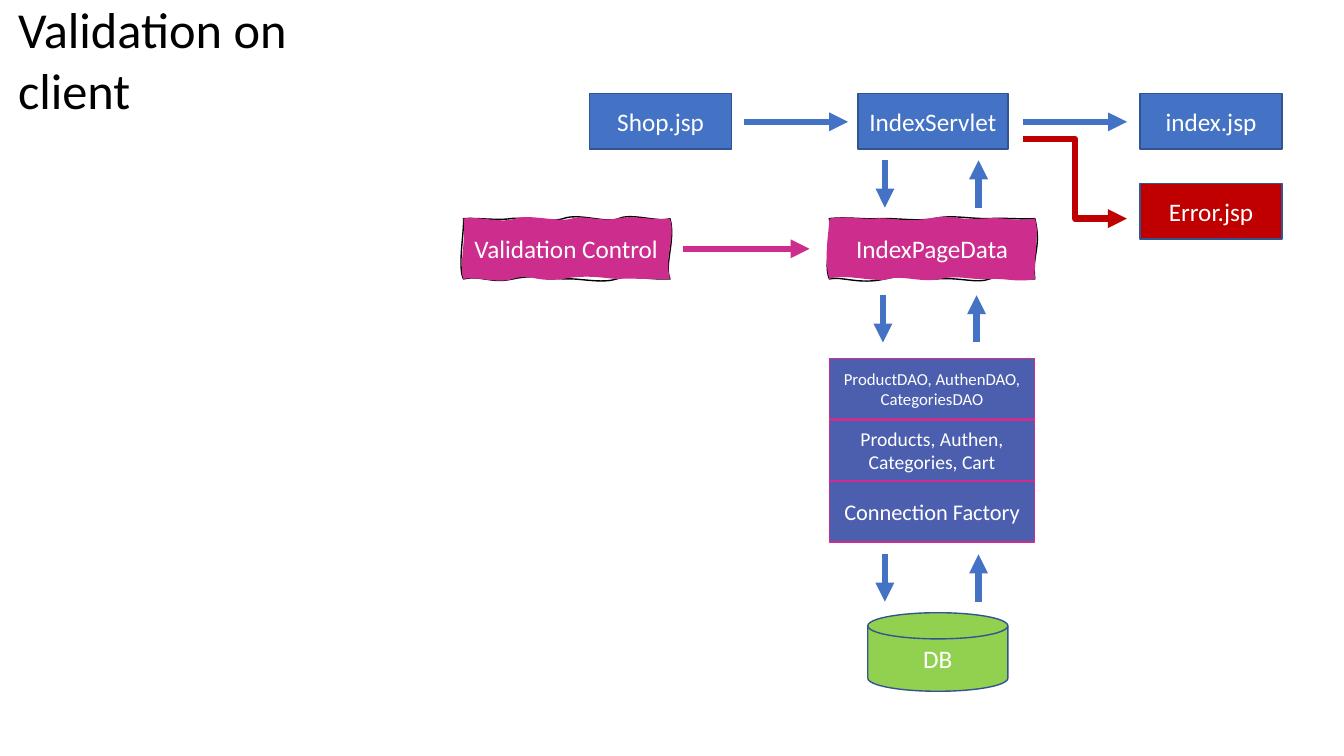
import pptx
import pptx.util
import pptx.dml.color
import pptx.enum.shapes
import pptx.enum.text
import pptx.oxml.ns
import lxml.etree

Cm, Pt = pptx.util.Cm, pptx.util.Pt
Shape = pptx.enum.shapes.MSO_SHAPE
Wire = pptx.enum.shapes.MSO_CONNECTOR
Align = pptx.enum.text.PP_ALIGN
Anchor = pptx.enum.text.MSO_ANCHOR
qn = pptx.oxml.ns.qn

HUES = {
    "blue": "4472C4", "edge": "325491", "pink": "CD2D8C", "layer": "4C5FAE",
    "red": "C00000", "green": "92D050", "white": "FFFFFF", "black": "000000",
}

# Wavy box outlines on a 204 by 60 grid: curves of two controls and an end,
# first the drawn edge, then the filled area.
GRID = (204, 60)
CONTROL = (
    "12 -1 34 2 47 0, 60 -2 82 5 99 0, 115 -6 141 5 154 0, 167 -6 193 4 205 0,"
    "211 21 199 46 205 60, 180 61 167 55 152 60, 137 65 115 59 101 60,"
    "87 60 72 55 49 60, 27 65 18 56 0 60, -6 48 1 13 0 0",
    "13 -3 39 5 51 0, 64 -5 95 4 107 0, 119 -4 134 3 152 0, 170 -4 183 2 205 0,"
    "211 18 199 37 205 60, 194 61 165 59 154 60, 143 60 124 55 99 60,"
    "73 64 65 54 49 60, 34 65 11 57 0 60, -5 48 3 22 0 0",
)
PAGE = (
    "16 -2 36 1 49 0, 62 -1 88 3 104 0, 121 -4 137 0 157 0, 177 -1 191 1 204 0,"
    "211 28 201 36 204 60, 188 61 172 55 159 60, 147 65 129 58 106 60,"
    "83 61 80 54 55 60, 30 66 12 57 0 60, -7 40 6 27 0 0",
    "15 -3 34 1 45 0, 56 -2 72 4 98 0, 124 -5 125 2 151 0, 178 -2 178 3 204 0,"
    "209 12 203 35 204 60, 187 64 176 59 157 60, 138 61 130 56 110 60,"
    "91 64 72 56 59 60, 46 64 13 54 0 60, -6 39 0 12 0 0",
)


def hue(name):
    """Return the named colour."""
    return pptx.dml.color.RGBColor.from_string(HUES[name])


def write(shape, text, size=18, color="white", align=Align.CENTER, wrap=True):
    """Put formatted text in a shape."""
    frame = shape.text_frame
    frame.word_wrap = wrap
    frame.vertical_anchor = Anchor.MIDDLE
    par = frame.paragraphs[0]
    par.alignment = align
    run = par.add_run()
    run.text = text
    run.font.name = "Calibri"
    run.font.size = Pt(size)
    run.font.color.rgb = hue(color)


def paint(shape, fill, line):
    """Set the fill and line of a shape and drop its shadow."""
    shape.shadow.inherit = False
    shape.fill.solid()
    shape.fill.fore_color.rgb = hue(fill)
    shape.line.color.rgb = hue(line)
    shape.line.width = Pt(1)


def box(slide, text, left, top, width=3.58, height=1.4, fill="blue",
        line="edge", size=18, kind=Shape.RECTANGLE):
    """Add a labelled preset shape."""
    shape = slide.shapes.add_shape(kind, Cm(left), Cm(top), Cm(width), Cm(height))
    paint(shape, fill, line)
    write(shape, text, size=size)


def curve(paths, data, **flags):
    """Add one closed path of cubic curves to a path list."""
    wide, high = GRID
    path = lxml.etree.SubElement(
        paths, qn("a:path"), w=str(wide), h=str(high), **flags)
    move = lxml.etree.SubElement(path, qn("a:moveTo"))
    lxml.etree.SubElement(move, qn("a:pt"), x="0", y="0")
    for part in data.split(","):
        nums = part.split()
        bend = lxml.etree.SubElement(path, qn("a:cubicBezTo"))
        for x, y in zip(nums[::2], nums[1::2]):
            lxml.etree.SubElement(bend, qn("a:pt"), x=x, y=y)
    lxml.etree.SubElement(path, qn("a:close"))


def sketch(slide, text, left, top, width, height, waves):
    """Add a labelled box with a hand-drawn edge."""
    right, low = left + width, top + height
    form = slide.shapes.build_freeform(Cm(left), Cm(top))
    form.add_line_segments(
        [(Cm(x), Cm(y)) for x, y in ((right, top), (right, low), (left, low))])
    shape = form.convert_to_shape()
    paths = shape.element.spPr.find(".//" + qn("a:pathLst"))
    for old in list(paths):
        paths.remove(old)
    edge, area = waves
    curve(paths, edge, fill="none")
    curve(paths, area, stroke="0")
    paint(shape, "pink", "black")
    write(shape, text)


def arrow(slide, start, end, color="blue", kind=Wire.STRAIGHT):
    """Add a thick connector with a triangle at its end."""
    ends = [Cm(n) for n in (*start, *end)]
    wire = slide.shapes.add_connector(kind, *ends)
    wire.line.color.rgb = hue(color)
    wire.line.width = Pt(4.5)
    lxml.etree.SubElement(wire.line._get_or_add_ln(), qn("a:tailEnd"), type="triangle")
    lxml.etree.SubElement(wire.element.spPr, qn("a:effectLst"))


def pair(slide, left, top):
    """Add an arrow down and an arrow up beside it."""
    low, right = top + 1.19, left + 2.36
    arrow(slide, (left, top), (left, low))
    arrow(slide, (right, low), (right, top))


def head(slide, text):
    """Place and format the title."""
    title = slide.shapes.title
    title.left, title.top, title.width, title.height = (
        Cm(n) for n in (0.2, 0.58, 10.39, 1.8))
    write(title, text, size=36, color="black", align=Align.LEFT, wrap=False)
    title.text_frame.auto_size = pptx.enum.text.MSO_AUTO_SIZE.SHAPE_TO_FIT_TEXT


def main():
    """Build the slide and save it."""
    deck = pptx.Presentation()
    deck.slide_width, deck.slide_height = Cm(33.87), Cm(19.05)
    slide = deck.slides.add_slide(deck.slide_layouts[5])
    head(slide, "Validation on client")

    row, end = 2.36, 28.73
    box(slide, "Shop.jsp", 14.86, row)
    box(slide, "IndexServlet", 21.62, row, width=3.78)
    box(slide, "index.jsp", end, row)
    box(slide, "Error.jsp", end, 4.62, fill="red")
    for left in (18.75, 25.78):
        arrow(slide, (left, 3.07), (left + 2.62, 3.07))
    arrow(slide, (25.78, 3.5), (28.4, 5.51), color="red", kind=Wire.ELBOW)

    main_left, wide, high = 20.9, 5.18, 1.52
    sketch(slide, "Validation Control", 11.68, 5.51, wide, high, CONTROL)
    sketch(slide, "IndexPageData", main_left, 5.51, wide, high, PAGE)
    arrow(slide, (17.22, 6.27), (20.4, 6.27), color="pink")

    layers = (
        ("ProductDAO, AuthenDAO, CategoriesDAO", 12),
        ("Products, Authen, Categories, Cart", 14),
        ("Connection Factory", 16),
    )
    for i, (text, size) in enumerate(layers):
        box(slide, text, main_left, 9.04 + 1.55 * i, wide, high,
            fill="layer", line="pink", size=size)

    box(slide, "DB", 21.87, 15.44, 3.53, 1.98, fill="green",
        kind=Shape.FLOWCHART_MAGNETIC_DISK)
    for left, top in ((22.3, 4.04), (22.25, 7.44), (22.3, 13.97)):
        pair(slide, left, top)

    deck.save("out.pptx")


main()
